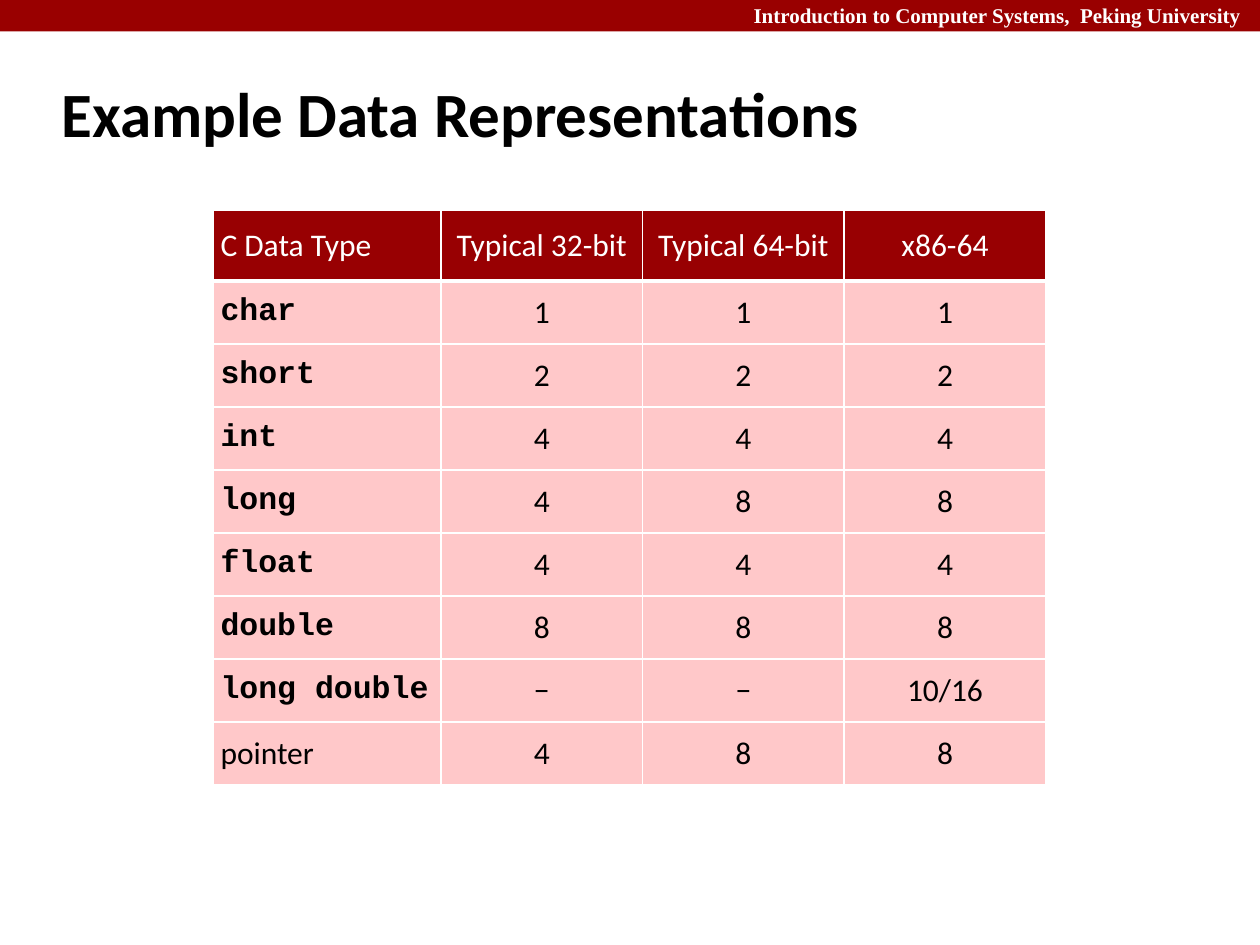
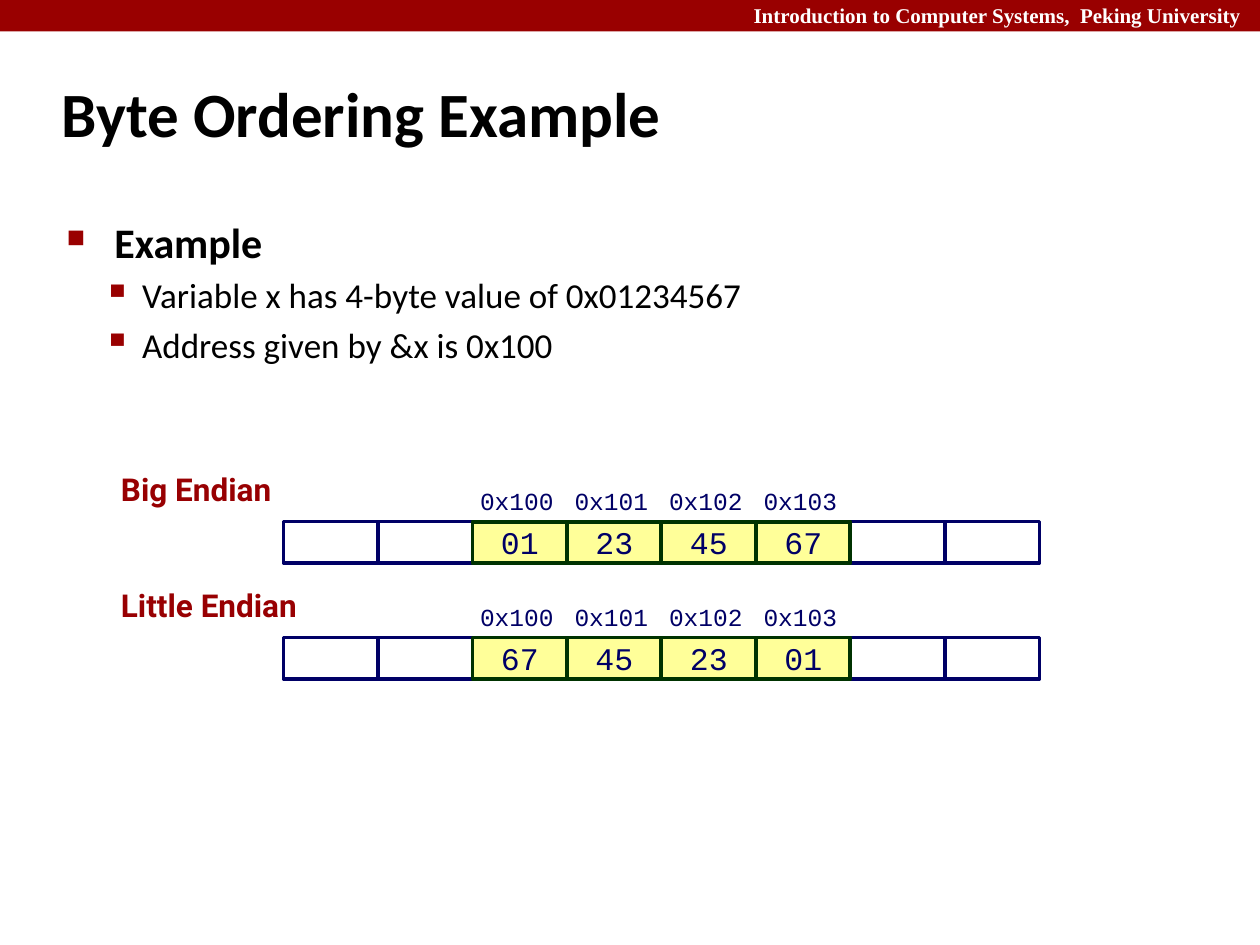
from lxml.etree import SubElement
from pptx import Presentation
from pptx.dml.color import RGBColor
from pptx.enum.shapes import MSO_SHAPE as Shape
from pptx.enum.text import MSO_ANCHOR as Anchor, PP_ALIGN as Align
from pptx.oxml.ns import qn
from pptx.util import Inches, Pt

# Colours
BAND_RED = RGBColor(0x99, 0x00, 0x00)
HEADING_RED = RGBColor(0x98, 0x00, 0x02)
PINK = RGBColor(0xFF, 0xC8, 0xC9)
WHITE = RGBColor(0xFF, 0xFF, 0xFF)
BLACK = RGBColor(0x00, 0x00, 0x00)
NAVY = RGBColor(0x00, 0x00, 0x66)
YELLOW = RGBColor(0xFF, 0xFF, 0x99)
DARK_GREEN = RGBColor(0x00, 0x33, 0x00)

# Fonts
SANS, MONO, LABEL, SERIF = "Calibri", "Courier New", "Roboto", "Times New Roman"

# Content
COURSE = "Introduction to Computer Systems,  Peking University"
SIZE_HEADER = ["C Data Type", "Typical 32-bit", "Typical 64-bit", "x86-64"]
TYPE_SIZES = [
    ["char", "1", "1", "1"],
    ["short", "2", "2", "2"],
    ["int", "4", "4", "4"],
    ["long", "4", "8", "8"],
    ["float", "4", "4", "4"],
    ["double", "8", "8", "8"],
    ["long double", "−", "−", "10/16"],
    ["pointer", "4", "8", "8"],
]
ADDRESSES = ["0x100", "0x101", "0x102", "0x103"]
BIG_ENDIAN = ["01", "23", "45", "67"]

# Memory diagram grid, in inches
MEMORY_LEFT, MEMORY_TOP = 2.25, 4.14
BYTE_WIDTH, BYTE_HEIGHT = 0.75, 0.33
ROW_PITCH, FIRST_USED, BYTE_COUNT = 0.92, 2, 8


def write(paragraph, text, size, face, color, bold=False, align=Align.LEFT):
    paragraph.text = text
    paragraph.alignment = align
    font = paragraph.font
    font.size, font.name, font.bold = Pt(size), face, bold
    font.color.rgb = color


def set_insets(frame, left, top, right, bottom):
    frame.margin_left, frame.margin_top = Inches(left), Inches(top)
    frame.margin_right, frame.margin_bottom = Inches(right), Inches(bottom)


def add_text_frame(slide, left, top, width, height, anchor=Anchor.TOP,
                   insets=(0.1, 0.05, 0.1, 0.05)):
    box = slide.shapes.add_textbox(Inches(left), Inches(top),
                                   Inches(width), Inches(height))
    frame = box.text_frame
    frame.word_wrap = True
    frame.vertical_anchor = anchor
    set_insets(frame, *insets)
    return frame


def add_rect(slide, left, top, width, height, fill, line=None, weight=0):
    rect = slide.shapes.add_shape(Shape.RECTANGLE, Inches(left), Inches(top),
                                  Inches(width), Inches(height))
    rect.shadow.inherit = False
    rect.fill.solid()
    rect.fill.fore_color.rgb = fill
    if line is None:
        rect.line.fill.background()
    else:
        rect.line.color.rgb = line
        rect.line.width = Pt(weight)
    return rect


def add_titled_slide(deck, title):
    """Blank slide with the course band and a title."""
    slide = deck.slides.add_slide(deck.slide_layouts[6])
    add_rect(slide, 0, 0, 10, 0.25, BAND_RED)
    course = add_text_frame(slide, 4.5, -0.03, 5.5, 0.3,
                            insets=(0.1, 0.05, 0.15, 0.05))
    write(course.paragraphs[0], COURSE, 12, SERIF, WHITE, True, Align.RIGHT)
    heading = add_text_frame(slide, 0.39, 0.48, 8.3, 0.83, Anchor.MIDDLE)
    write(heading.paragraphs[0], title, 36, SANS, BLACK, True)
    return slide


# Table of type sizes
def set_borders(cell, top, bottom):
    properties = cell._tc.get_or_add_tcPr()
    for side, weight in (("L", 1), ("R", 1), ("T", top), ("B", bottom)):
        line = SubElement(properties, qn(f"a:ln{side}"), w=str(Pt(weight)))
        fill = SubElement(line, qn("a:solidFill"))
        SubElement(fill, qn("a:srgbClr"), val=str(WHITE))


def add_size_table(slide):
    rows = [SIZE_HEADER] + TYPE_SIZES
    table = slide.shapes.add_table(len(rows), len(SIZE_HEADER), Inches(1.69),
                                   Inches(1.67), Inches(6.61), Inches(4.56)).table
    table.horz_banding = False
    for column, width in zip(table.columns, [1.81, 1.6, 1.6, 1.6]):
        column.width = Inches(width)
    for r, values in enumerate(rows):
        is_header = r == 0
        table.rows[r].height = Inches(0.56 if is_header else 0.5)
        for c, value in enumerate(values):
            cell = table.cell(r, c)
            cell.vertical_anchor = Anchor.MIDDLE
            set_insets(cell, 0.06, 0.06, 0.06, 0.06)
            set_borders(cell, 3 if r == 1 else 1, 3 if is_header else 1)
            cell.fill.solid()
            cell.fill.fore_color.rgb = HEADING_RED if is_header else PINK
            is_keyword = c == 0 and not is_header and value != "pointer"
            write(cell.text_frame.paragraphs[0], value, 18,
                  MONO if is_keyword else SANS,
                  WHITE if is_header else BLACK, is_keyword,
                  Align.LEFT if c == 0 else Align.CENTER)


# Bulleted text
def add_bullet(paragraph, symbol, percent, margin, hanging):
    properties = paragraph._p.get_or_add_pPr()
    properties.set("marL", str(Inches(margin)))
    properties.set("indent", str(-Inches(hanging)))
    color = SubElement(properties, qn("a:buClr"))
    SubElement(color, qn("a:srgbClr"), val=str(BAND_RED))
    SubElement(properties, qn("a:buSzPct"), val=str(percent * 1000))
    SubElement(properties, qn("a:buChar"), char=symbol)


def add_bullet_list(slide, heading, points):
    frame = add_text_frame(slide, 0.43, 1.67, 8.64, 5.26)
    first = frame.paragraphs[0]
    add_bullet(first, "■", 60, 0.38, 0.38)
    write(first, heading, 24, SANS, BLACK, True)
    for point in points:
        paragraph = frame.add_paragraph()
        paragraph.level = 1
        paragraph.space_before = Pt(4)
        add_bullet(paragraph, "▪", 110, 0.6, 0.31)
        write(paragraph, point, 20, SANS, BLACK)


# Memory diagram
def add_memory_row(slide, row, order_name, byte_values):
    top = MEMORY_TOP + row * ROW_PITCH
    lefts = [MEMORY_LEFT + i * BYTE_WIDTH for i in range(BYTE_COUNT)]
    used = lefts[FIRST_USED:FIRST_USED + len(byte_values)]

    for left in lefts:
        if left not in used:
            add_rect(slide, left, top, BYTE_WIDTH, BYTE_HEIGHT, WHITE, NAVY, 2)

    for left, address, value in zip(used, ADDRESSES, byte_values):
        address_frame = add_text_frame(slide, left, top - BYTE_HEIGHT, BYTE_WIDTH,
                                       BYTE_HEIGHT, Anchor.MIDDLE,
                                       (0.06, 0.06, 0, 0.06))
        write(address_frame.paragraphs[0], address, 14, MONO, NAVY)
        byte = add_rect(slide, left, top, BYTE_WIDTH, BYTE_HEIGHT,
                        YELLOW, DARK_GREEN, 2.25)
        byte.text_frame.vertical_anchor = Anchor.MIDDLE
        set_insets(byte.text_frame, 0, 0, 0, 0)
        write(byte.text_frame.paragraphs[0], value, 18, MONO, NAVY,
              align=Align.CENTER)

    order = add_text_frame(slide, 0.92, top - 0.42, 1.96, 0.36,
                           insets=(0.04, 0.03, 0.07, 0.03))
    order.paragraphs[0].line_spacing = 0.95
    write(order.paragraphs[0], order_name, 18, LABEL, HEADING_RED, True)


def main():
    deck = Presentation()
    deck.slide_width, deck.slide_height = Inches(10), Inches(7.5)

    add_size_table(add_titled_slide(deck, "Example Data Representations"))

    ordering = add_titled_slide(deck, "Byte Ordering Example")
    add_bullet_list(ordering, "Example",
                    ["Variable x has 4-byte value of 0x01234567",
                     "Address given by &x is 0x100"])
    add_memory_row(ordering, 0, "Big Endian", BIG_ENDIAN)
    add_memory_row(ordering, 1, "Little Endian", BIG_ENDIAN[::-1])

    deck.save("out.pptx")


if __name__ == "__main__":
    main()
